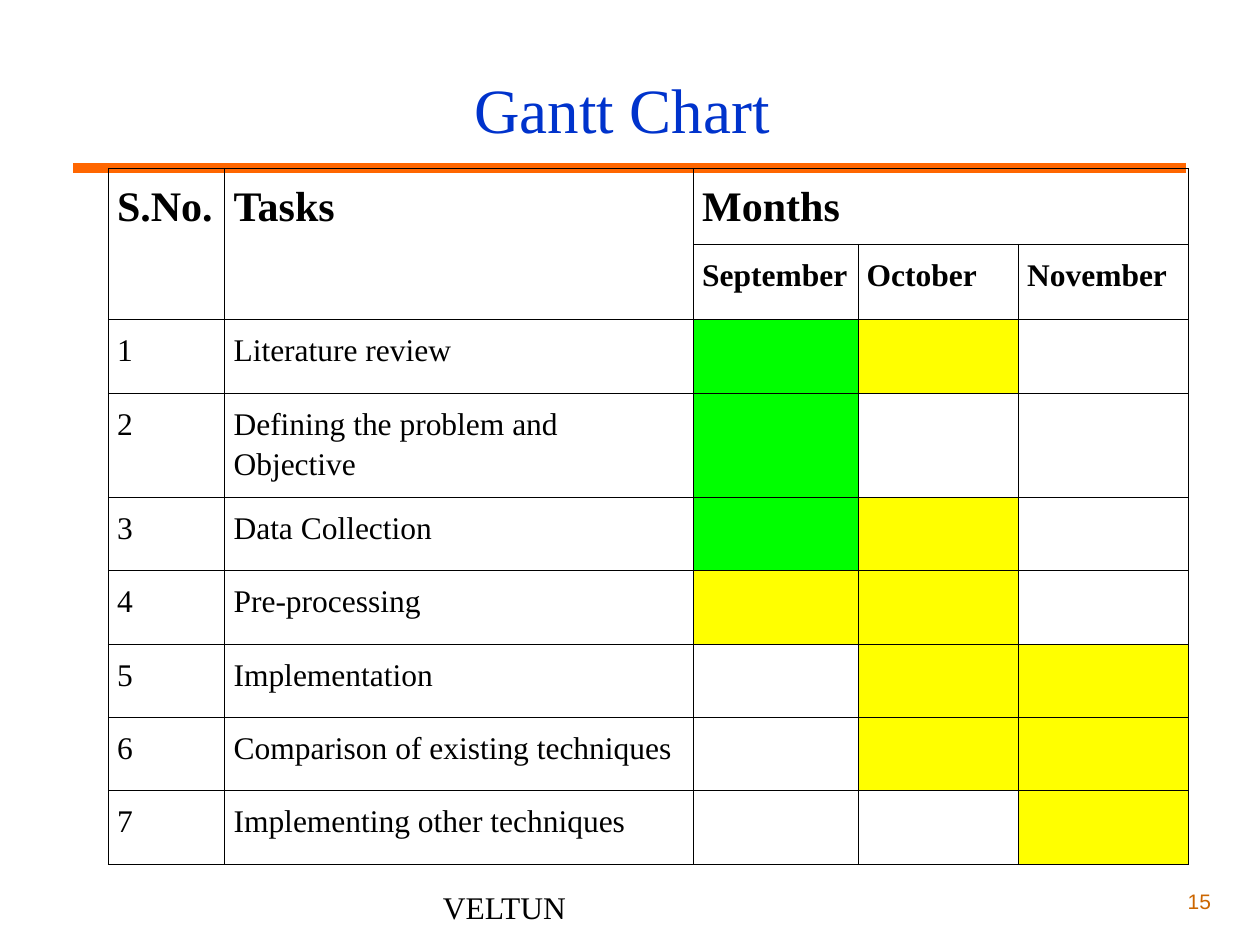
import pptx
import pptx.dml.color
import pptx.enum.shapes
import pptx.enum.text
import pptx.oxml
import pptx.oxml.ns
import pptx.util

Pt = pptx.util.Pt
ALIGN = pptx.enum.text.PP_ALIGN
ANCHOR = pptx.enum.text.MSO_ANCHOR

THEME = {
    "serif": "Times New Roman", "sans": "Arial",
    "title": "0033CC", "rule": "FF6600", "number": "CC6600", "text": "000000",
    "done": "00FF00", "planned": "FFFF00",
    "title_size": 36, "head_size": 24, "body_size": 18, "number_size": 12,
}

TITLE = "Gantt Chart "
FOOTER = "VELTUN"
PAGE_NUMBER = "15"
HEADINGS = ["S.No.", "Tasks", "Months"]
MONTHS = ["September", "October", "November"]
TASKS = [  # task, state in each month
    ("Literature review", ("done", "planned", None)),
    ("Defining the problem and Objective", ("done", None, None)),
    ("Data Collection", ("done", "planned", None)),
    ("Pre-processing", ("planned", "planned", None)),
    ("Implementation", (None, "planned", "planned")),
    ("Comparison of existing techniques", (None, "planned", "planned")),
    ("Implementing other techniques", (None, None, "planned")),
]

TABLE_LEFT, TABLE_TOP = 61.9, 96.5
COL_WIDTHS = [66.6, 267.8, 94, 91.7, 97.2]
HEAD_HEIGHT, TASK_HEIGHT, TWO_LINE_HEIGHT = 40.6, 41.9, 56
TWO_LINE_TASK = 1
CELL_INSET = 5


def rgb(name):
    return pptx.dml.color.RGBColor.from_string(THEME[name])


def write(tf, text, size="body_size", font="serif", color="text", bold=False,
          align=ALIGN.LEFT, spacing=None):
    p = tf.paragraphs[0]
    p.alignment = align
    if spacing:
        p.line_spacing = spacing
    r = p.add_run()
    r.text = text
    r.font.size = Pt(THEME[size])
    r.font.name = THEME[font]
    r.font.bold = bold
    r.font.color.rgb = rgb(color)


def add_text(slide, text, box, inset_x=3.6, anchor=ANCHOR.TOP, **fmt):
    tf = slide.shapes.add_textbox(*map(Pt, box)).text_frame
    tf.word_wrap = True
    tf.vertical_anchor = anchor
    tf.margin_left = tf.margin_right = Pt(inset_x)
    tf.margin_top = tf.margin_bottom = Pt(3.6)
    write(tf, text, **fmt)


def add_rule(slide):
    line = slide.shapes.add_connector(
        pptx.enum.shapes.MSO_CONNECTOR.STRAIGHT, Pt(42), Pt(96), Pt(678), Pt(96))
    line.line.color.rgb = rgb("rule")
    line.line.width = Pt(6)
    pptx.oxml.ns.qn("a:effectLst")
    line._element.spPr.append(pptx.oxml.parse_xml(
        f'<a:effectLst {pptx.oxml.ns.nsdecls("a")}/>'))


def style_cell(cell):
    """Give a cell thin borders, even insets and no fill."""
    tcPr = cell._tc.get_or_add_tcPr()
    for side in "LRTB":
        tcPr.append(pptx.oxml.parse_xml(
            f'<a:ln{side} {pptx.oxml.ns.nsdecls("a")} w="{Pt(0.5)}"><a:solidFill>'
            f'<a:srgbClr val="{THEME["text"]}"/></a:solidFill></a:ln{side}>'))
    cell.margin_left = cell.margin_right = Pt(CELL_INSET)
    cell.margin_top = cell.margin_bottom = Pt(CELL_INSET)
    cell.fill.background()


def add_gantt(slide):
    heights = [HEAD_HEIGHT] * 2 + [TASK_HEIGHT] * len(TASKS)
    heights[2 + TWO_LINE_TASK] = TWO_LINE_HEIGHT
    table = slide.shapes.add_table(
        len(heights), len(COL_WIDTHS), Pt(TABLE_LEFT), Pt(TABLE_TOP),
        Pt(sum(COL_WIDTHS)), Pt(sum(heights))).table
    table.first_row = table.horz_banding = False
    for col, width in zip(table.columns, COL_WIDTHS):
        col.width = Pt(width)
    for row, height in zip(table.rows, heights):
        row.height = Pt(height)
    for cell in table.iter_cells():
        style_cell(cell)

    def put(row, col, text, **fmt):
        write(table.cell(row, col).text_frame, text, spacing=1.15, **fmt)

    for col in (0, 1):
        table.cell(0, col).merge(table.cell(1, col))
    table.cell(0, 2).merge(table.cell(0, 4))
    for col, text in enumerate(HEADINGS):
        put(0, col, text, size="head_size", bold=True)
    for col, month in enumerate(MONTHS, 2):
        put(1, col, month, bold=True)
    for number, (task, states) in enumerate(TASKS, 1):
        row = number + 1
        put(row, 0, str(number))
        put(row, 1, task)
        for col, state in enumerate(states, 2):
            if state:
                fill = table.cell(row, col).fill
                fill.solid()
                fill.fore_color.rgb = rgb(state)


def main():
    prs = pptx.Presentation()
    prs.slide_width, prs.slide_height = Pt(720), Pt(540)
    slide = prs.slides.add_slide(prs.slide_layouts[6])
    add_rule(slide)
    add_text(slide, TITLE, (54, 27.4, 612, 68.4), anchor=ANCHOR.MIDDLE,
             size="title_size", color="title", align=ALIGN.CENTER)
    add_text(slide, PAGE_NUMBER, (545.8, 504, 149.8, 36), size="number_size",
             font="sans", color="number", align=ALIGN.RIGHT)
    add_text(slide, FOOTER, (246, 504, 228, 36), inset_x=7.2)
    add_gantt(slide)
    prs.save("out.pptx")


if __name__ == "__main__":
    main()
